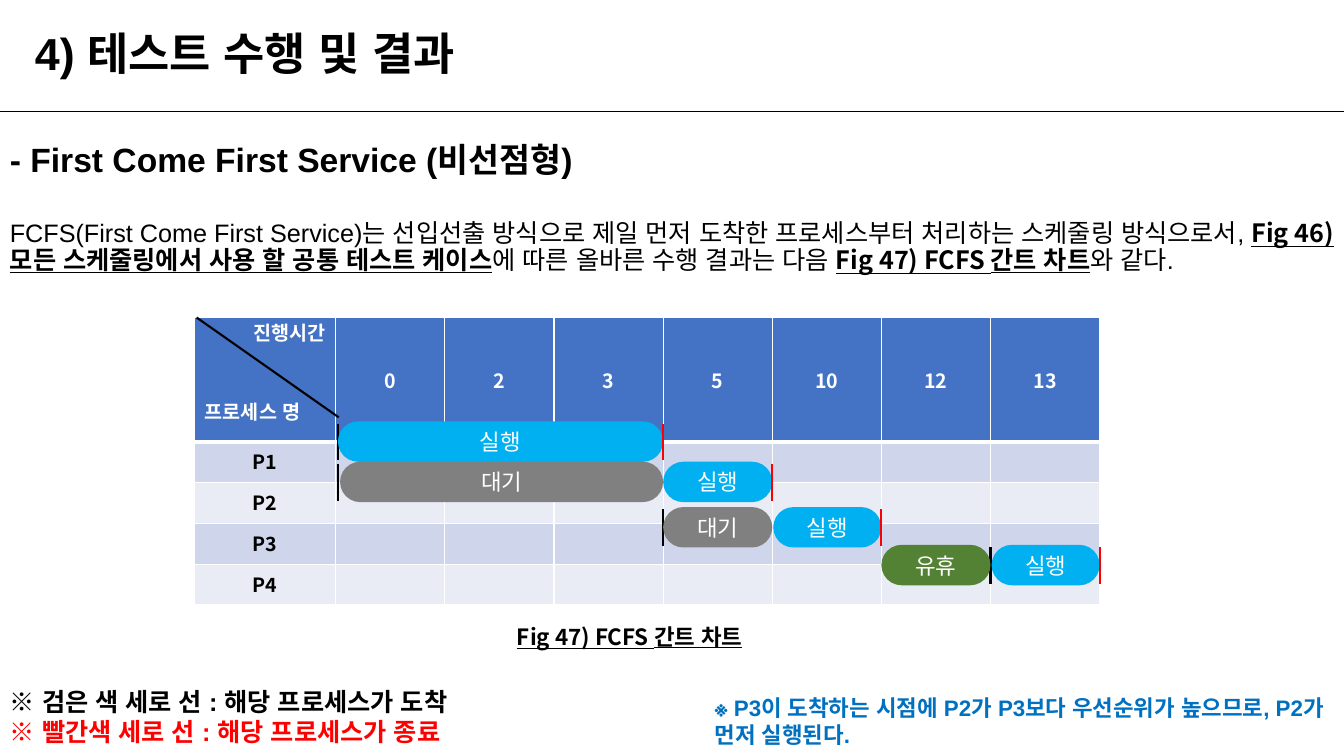
from lxml.etree import SubElement
from pptx import Presentation
from pptx.dml.color import RGBColor
from pptx.enum.shapes import MSO_CONNECTOR, MSO_SHAPE
from pptx.enum.text import MSO_ANCHOR, PP_ALIGN
from pptx.oxml.ns import qn
from pptx.util import Inches, Pt

BLACK, WHITE, RED = "000000", "FFFFFF", "FF0000"
RUN, WAIT, IDLE = "00B0F0", "808080", "548235"
HEADER, BANDS = "4472C4", ("CFD5EA", "E9EBF5")
SANS, KR, SC = "Arial", "Noto Sans CJK KR", "Noto Sans CJK SC"


def rgb(value):
    return RGBColor.from_string(value)


class Deck:
    left, label, slot = 14.48, 10.5, 8.12
    top, header, row = 42.0, 16.45, 5.4
    lanes = (55.73, 61.07, 67.07, 72.07)

    def __init__(self):
        self.prs = Presentation()
        self.prs.slide_width = Inches(13.33)
        self.prs.slide_height = Inches(7.5)
        self.s = self.prs.slides.add_slide(self.prs.slide_layouts[5])

    def x(self, share):
        return int(self.prs.slide_width * share / 100)

    def y(self, share):
        return int(self.prs.slide_height * share / 100)

    def box(self, x, y, w, h):
        return self.x(x), self.y(y), self.x(w), self.y(h)

    def slot_x(self, n):
        return self.left + self.label + self.slot * n

    def run(self, p, text, size, color=BLACK, font=SANS, bold=True, underline=False):
        r = p.add_run()
        r.text = text
        f = r.font
        f.size, f.bold, f.underline, f.name = Pt(size), bold, underline, font
        f.color.rgb = rgb(color)
        SubElement(r._r.get_or_add_rPr(), qn("a:ea"), typeface=SC if font == SC else SANS)

    def title(self, text):
        sp = self.s.shapes.title
        sp.left, sp.top, sp.width, sp.height = self.box(0, 0, 100, 14.8)
        tf = sp.text_frame
        tf.margin_left = self.x(2.6)
        tf.vertical_anchor = MSO_ANCHOR.MIDDLE
        p = tf.paragraphs[0]
        p.alignment, p.line_spacing = PP_ALIGN.LEFT, 0.9
        self.run(p, text, 32)

    def text(self, x, y, w, h, paragraphs, spacing=1.0, gap=0):
        tf = self.s.shapes.add_textbox(*self.box(x, y, w, h)).text_frame
        tf.word_wrap = True
        for i, runs in enumerate(paragraphs):
            p = tf.add_paragraph() if i else tf.paragraphs[0]
            p.line_spacing = spacing
            if i:
                p.space_before = Pt(gap)
            for text, style in runs:
                self.run(p, text, **style)

    def line(self, x1, y1, x2, y2, color=BLACK, width=1.5):
        c = self.s.shapes.add_connector(
            MSO_CONNECTOR.STRAIGHT, self.x(x1), self.y(y1), self.x(x2), self.y(y2))
        c.line.color.rgb, c.line.width = rgb(color), Pt(width)
        SubElement(c._element.spPr, qn("a:effectLst"))

    def mark(self, lane, slot, color):
        x, y = self.slot_x(slot), self.lanes[lane] + 0.3
        self.line(x, y, x, y + 4.85, color)

    def bar(self, lane, start, end, text, color):
        x = self.slot_x(start)
        sp = self.s.shapes.add_shape(
            MSO_SHAPE.ROUNDED_RECTANGLE,
            *self.box(x, self.lanes[lane], self.slot_x(end) - x, 5.35))
        sp.adjustments[0] = 0.5
        sp.shadow.inherit = False
        sp.fill.solid()
        sp.fill.fore_color.rgb = rgb(color)
        sp.line.fill.background()
        tf = sp.text_frame
        tf.vertical_anchor = MSO_ANCHOR.MIDDLE
        p = tf.paragraphs[0]
        p.alignment = PP_ALIGN.CENTER
        self.run(p, text, 16, WHITE, SC, False)

    def cell(self, cell, fill, bottom, text="", color=BLACK):
        pr = cell._tc.get_or_add_tcPr()
        for side in ("lnL", "lnR", "lnT", "lnB"):
            width = bottom if side == "lnB" else 1
            ln = SubElement(pr, qn(f"a:{side}"), w=str(Pt(width)))
            SubElement(SubElement(ln, qn("a:solidFill")), qn("a:srgbClr"), val=WHITE)
        cell.fill.solid()
        cell.fill.fore_color.rgb = rgb(fill)
        p = cell.text_frame.paragraphs[0]
        p.alignment = PP_ALIGN.CENTER
        if text:
            self.run(p, text, 14, color, KR)

    def table(self, corner, times, processes):
        n, m = len(times), len(processes)
        t = self.s.shapes.add_table(m + 1, n + 1, *self.box(
            self.left, self.top, self.label + self.slot * n,
            self.header + self.row * m)).table
        for i, col in enumerate(t.columns):
            col.width = self.x(self.slot if i else self.label)
        for i, row in enumerate(t.rows):
            row.height = self.y(self.row if i else self.header)
        for i, text in enumerate((corner[0], *times)):
            self.cell(t.cell(0, i), HEADER, 3, text, WHITE)
            t.cell(0, i).vertical_anchor = MSO_ANCHOR.MIDDLE if i else MSO_ANCHOR.TOP
        tf = t.cell(0, 0).text_frame
        tf.paragraphs[0].alignment = PP_ALIGN.RIGHT
        p = tf.add_paragraph()
        p.space_before = Pt(41)
        self.run(p, corner[1], 14, WHITE, KR)
        for i, name in enumerate(processes):
            for j in range(n + 1):
                self.cell(t.cell(i + 1, j), BANDS[i % 2], 1, "" if j else name)


def main():
    d = Deck()
    d.title("4) 테스트 수행 및 결과")
    d.line(0, 14.75, 100, 14.75, width=0.5)
    plain = dict(size=18, bold=False)
    key = dict(size=18, font=KR, underline=True)
    d.text(0, 18.3, 100, 20, [
        [("- First Come First Service (비선점형)", dict(size=24))],
        [("FCFS(First Come First Service)는 선입선출 방식으로 제일 먼저 도착한 "
          "프로세스부터 처리하는 스케줄링 방식으로서, ", plain),
         ("Fig 46) 모든 스케줄링에서 사용 할 공통 테스트 케이스", key),
         ("에 따른 올바른 수행 결과는 다음 ", plain),
         ("Fig 47) FCFS 간트 차트", key),
         ("와 같다.", plain)],
    ], spacing=0.9, gap=29.5)
    d.table(("진행시간", "프로세스 명"), ("0", "2", "3", "5", "10", "12", "13"),
            ("P1", "P2", "P3", "P4"))
    d.line(14.63, 42, 25.2, 55.2)

    for lane, slot in ((0, 0.02), (1, 0.02), (2, 3), (3, 6)):
        d.mark(lane, slot, BLACK)
    for lane, start, end, text, color in (
            (1, 0.04, 3, "대기", WAIT), (1, 3, 4, "실행", RUN),
            (0, 0.02, 3, "실행", RUN), (2, 3, 4, "대기", WAIT),
            (2, 4.01, 5, "실행", RUN), (3, 5, 6, "유휴", IDLE),
            (3, 6.01, 7, "실행", RUN)):
        d.bar(lane, start, end, text, color)
    for lane, slot in enumerate((3, 4, 5, 7)):
        d.mark(lane, slot, RED)

    d.text(37.73, 81.73, 19.8, 4.93,
           [[("Fig 47) FCFS 간트 차트", dict(size=16, font=KR, underline=True))]])
    d.text(0, 90.13, 39.6, 9.47, [
        [("※ 검은 색 세로 선 : 해당 프로세스가 도착", dict(size=18))],
        [("※ 빨간색 세로 선 : 해당 프로세스가 종료", dict(size=18, color=RED))]])
    d.text(52.44, 91.2, 47.56, 8.53, [
        [("※ P3이 도착하는 시점에 P2가 P3보다 우선순위가 높으므로, P2가 먼저 실행된다.",
          dict(size=16, color="0070C0"))]])
    d.prs.save("out.pptx")


if __name__ == "__main__":
    main()
